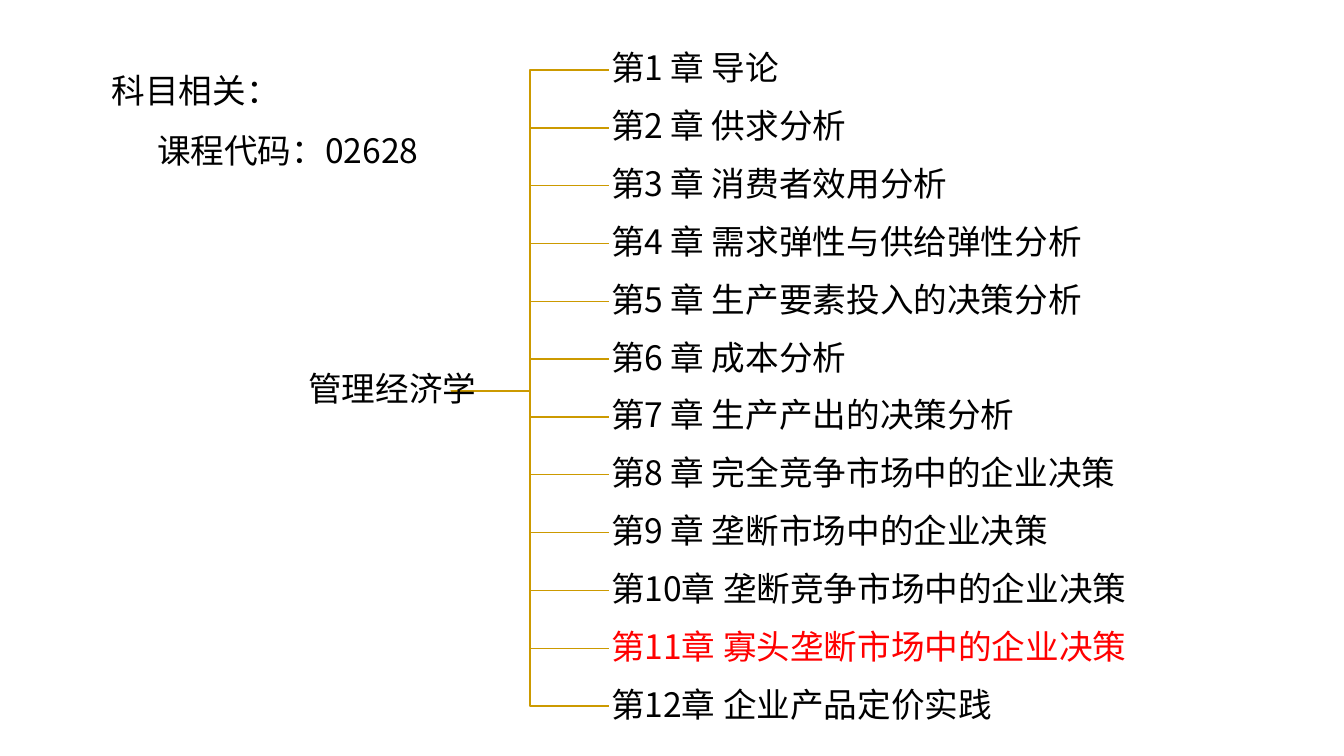
from lxml.etree import SubElement
from pptx import Presentation
from pptx.dml.color import RGBColor
from pptx.enum.shapes import MSO_SHAPE
from pptx.enum.text import MSO_ANCHOR, PP_ALIGN
from pptx.oxml.ns import qn
from pptx.util import Inches, Pt

FONT = "Noto Sans CJK SC"
BLACK = RGBColor(0x00, 0x00, 0x00)
RED = RGBColor(0xFF, 0x00, 0x00)
WHITE = RGBColor(0xFF, 0xFF, 0xFF)
GOLD = RGBColor(0xCC, 0x9A, 0x00)

SUBJECT = "管理经济学"
CHAPTERS = [
    "第1 章 导论",
    "第2 章 供求分析",
    "第3 章 消费者效用分析",
    "第4 章 需求弹性与供给弹性分析",
    "第5 章 生产要素投入的决策分析",
    "第6 章 成本分析",
    "第7 章 生产产出的决策分析",
    "第8 章 完全竞争市场中的企业决策",
    "第9 章 垄断市场中的企业决策",
    "第10章 垄断竞争市场中的企业决策",
    "第11章 寡头垄断市场中的企业决策",
    "第12章 企业产品定价实践",
]
CURRENT_CHAPTER = 11


def style_paragraph(p, color, spacing, align=PP_ALIGN.LEFT):
    p.alignment = align
    p.line_spacing = spacing
    p.font.size = Pt(24)
    p.font.name = FONT
    p.font.color.rgb = color
    SubElement(p._p.pPr.find(qn("a:defRPr")), qn("a:ea"), typeface=FONT)


def add_node(slide, left, top, width, height, text, color, align):
    sp = slide.shapes.add_shape(
        MSO_SHAPE.RECTANGLE, Inches(left), Inches(top), Inches(width), Inches(height)
    )
    sp.shadow.inherit = False
    sp.fill.background()
    sp.line.fill.background()
    tf = sp.text_frame
    tf.word_wrap = True
    tf.vertical_anchor = MSO_ANCHOR.MIDDLE
    tf.margin_left = tf.margin_right = Inches(0.02)
    tf.margin_top = tf.margin_bottom = Inches(0.02)
    p = tf.paragraphs[0]
    p.text = text
    style_paragraph(p, color, 0.9, align)
    return sp


def add_branch(slide, start_x, start_y, end_x, end_y):
    mid_x = (start_x + end_x) / 2
    points = [(mid_x, start_y), (mid_x, end_y), (end_x, end_y)]
    builder = slide.shapes.build_freeform(Inches(start_x), Inches(start_y))
    builder.add_line_segments([(Inches(x), Inches(y)) for x, y in points], close=False)
    sp = builder.convert_to_shape()
    sp.shadow.inherit = False
    sp.fill.background()
    sp.line.color.rgb = GOLD
    sp.line.width = Pt(1)


def add_chapter_tree(slide, left, top, width, height):
    node_height = 0.51
    pitch = (height - node_height) / (len(CHAPTERS) - 1)
    chapter_x = left + 3.31
    root_x, root_y = left + 1.74, top + 3.44
    tops = [top + i * pitch for i in range(len(CHAPTERS))]

    for y in reversed(tops):
        add_branch(slide, root_x, root_y, chapter_x, y + node_height / 2)
    add_node(slide, left, root_y - 0.58, 2.32, 1.16, SUBJECT, BLACK, PP_ALIGN.CENTER)
    for number, (y, title) in enumerate(zip(tops, CHAPTERS), 1):
        color = RED if number == CURRENT_CHAPTER else BLACK
        node = add_node(slide, chapter_x, y, left + width - chapter_x, node_height,
                        title, color, PP_ALIGN.LEFT)
        node.fill.solid()
        node.fill.fore_color.rgb = WHITE


def add_course_info(slide, left, top, width, height):
    box = slide.shapes.add_textbox(Inches(left), Inches(top), Inches(width), Inches(height))
    tf = box.text_frame
    tf.word_wrap = True
    heading = tf.paragraphs[0]
    heading.text = "科目相关："
    code = tf.add_paragraph()
    code.text = "课程代码：02628"
    code._p.get_or_add_pPr().set("marL", str(Inches(0.45)))
    for p in tf.paragraphs:
        style_paragraph(p, BLACK, 1.5)


def main():
    prs = Presentation()
    prs.slide_width = Inches(13.33)
    prs.slide_height = Inches(7.5)
    slide = prs.slides.add_slide(prs.slide_layouts[6])
    add_chapter_tree(slide, 2.73, 0.44, 9.1, 6.82)
    add_course_info(slide, 1.01, 0.44, 8.19, 1.31)
    prs.save("out.pptx")


if __name__ == "__main__":
    main()
